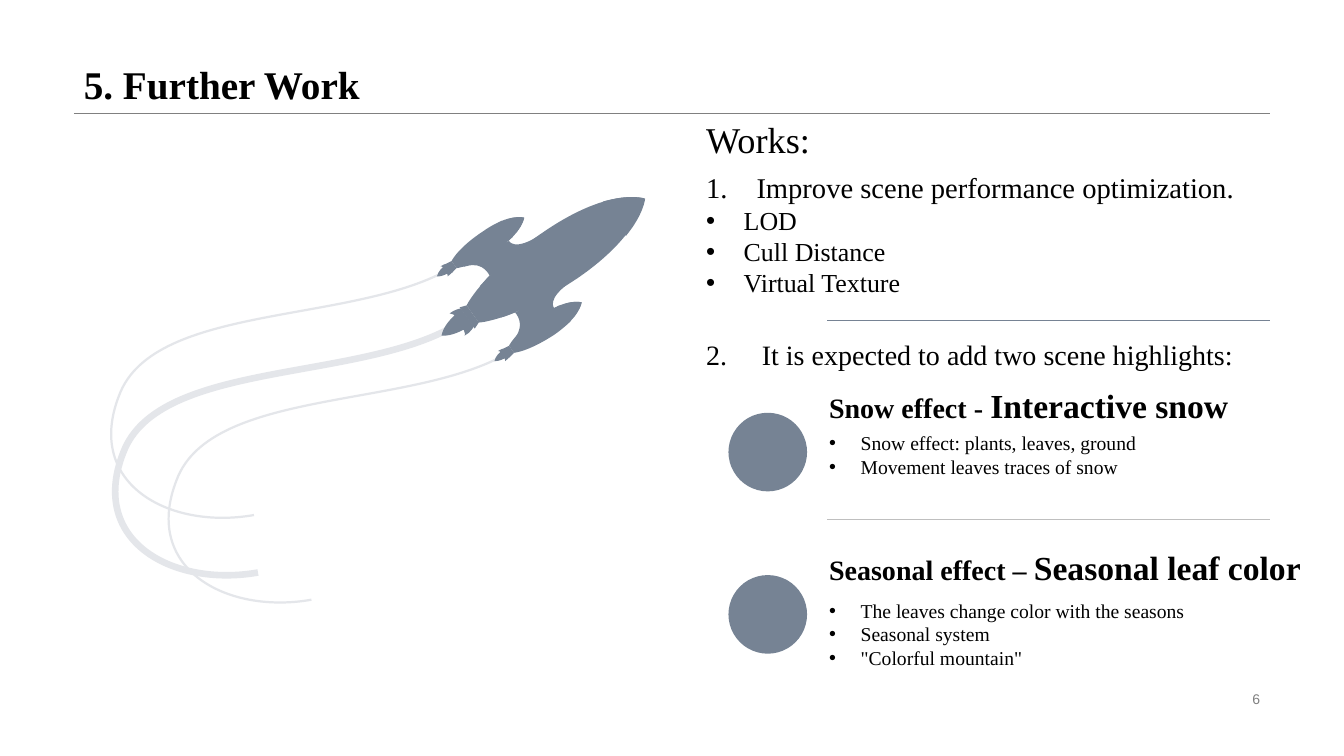
from dataclasses import dataclass

from lxml import etree
from pptx import Presentation
from pptx.dml.color import RGBColor
from pptx.enum.shapes import MSO_CONNECTOR, MSO_SHAPE
from pptx.enum.text import MSO_ANCHOR, PP_ALIGN
from pptx.oxml.ns import qn
from pptx.util import Inches, Pt

STRAIGHT = MSO_CONNECTOR.STRAIGHT
ELLIPSE = MSO_SHAPE.OVAL
TOP, MIDDLE, BOTTOM = MSO_ANCHOR.TOP, MSO_ANCHOR.MIDDLE, MSO_ANCHOR.BOTTOM
LEFT, RIGHT = PP_ALIGN.LEFT, PP_ALIGN.RIGHT

SLIDE_W, SLIDE_H = Inches(40) // 3, Inches(7.5)
ART_UNITS = 1000      # drawing units per inch


@dataclass(frozen=True)
class Theme:
    serif: str = "Times New Roman"
    sans: str = "Arial"
    ink: str = "000000"
    grey: str = "808080"
    slate: str = "768394"
    trail: str = "E4E6EA"
    divider: str = "BFBFBF"
    title: float = 28
    heading: float = 25.9
    first_item: float = 20.4
    item: float = 20
    sub_item: float = 18.5
    emphasis: float = 24
    detail: float = 14
    page: float = 10
    hairline: float = 0.25


THEME = Theme()

# Left edges and right edge, in percent of the slide width
MARGIN, RIGHT_EDGE = 5.5, 94.5
WORKS_LEFT, DETAIL_LEFT, RULE_LEFT, DOT_LEFT = 51.8, 60.95, 61.55, 54.2

# Highlights: title top, bullets top (percent of height), lead, name, details
HIGHLIGHTS = [
    (50.4, 56.4, "Snow effect - ", "Interactive snow",
     ["Snow effect: plants, leaves, ground", "Movement leaves traces of snow"]),
    (71.87, 78.53, "Seasonal effect – ", "Seasonal leaf color",
     ["The leaves change color with the seasons", "Seasonal system",
      '"Colorful mountain"']),
]

# Rocket outlines in inches: a start point, then lines (x, y)
# or curves (two controls and an end)
BODY = [(6.39, 1.97), (6.39, 1.97, 6.06, 1.85, 5.41, 2.29),
        (4.77, 2.72, 4.63, 3.03, 4.63, 3.03), (4.75, 3.2),
        (4.75, 3.2, 5.08, 3.19, 5.73, 2.76), (6.37, 2.32, 6.39, 1.97, 6.39, 1.97)]
BODY_BAND = [(4.97, 3.15), (5.01, 3.14, 5.06, 3.12, 5.11, 3.1), (4.86, 2.73),
             (4.82, 2.77, 4.79, 2.81, 4.76, 2.84)]
NOSE = [(6.21, 2.34), (6.39, 2.12, 6.4, 1.97, 6.4, 1.97),
        (6.4, 1.97, 6.26, 1.92, 5.98, 2)]
LOWER_FIN = [(5.5, 3.06), (5.5, 3.06, 5.41, 2.97, 5.67, 2.79), (5.11, 3.1),
             (5.11, 3.1, 5.22, 3.21, 5.11, 3.35), (5, 3.5, 5.5, 3.06, 5.5, 3.06)]
UPPER_FIN = [(5.05, 2.39), (5.05, 2.39, 5.1, 2.5, 5.36, 2.33), (4.86, 2.74),
             (4.86, 2.74, 4.8, 2.59, 4.63, 2.64), (4.45, 2.69, 5.05, 2.39, 5.05, 2.39)]
MAIN_NOZZLE = [(4.71, 3.26), (4.56, 3.05), (4.63, 3.03), (4.75, 3.2)]
POD = [(5.77, 3), (5.77, 3, 5.76, 3.14, 5.5, 3.32),
       (5.24, 3.49, 5.1, 3.5, 5.1, 3.5), (5.05, 3.43),
       (5.05, 3.43, 5.11, 3.3, 5.37, 3.13), (5.63, 2.95, 5.77, 3, 5.77, 3)]
POD_BAND = [(5.66, 3.19), (5.64, 3.2, 5.63, 3.22, 5.61, 3.23), (5.5, 3.06),
            (5.52, 3.05, 5.53, 3.04, 5.55, 3.03)]
POD_TIP = [(5.59, 3.02), (5.71, 2.98, 5.77, 3, 5.77, 3),
           (5.77, 3, 5.76, 3.06, 5.69, 3.15)]
POD_NOZZLE = [(4.99, 3.46), (5.05, 3.55), (5.1, 3.5), (5.05, 3.43)]
TRAIL = [(4.57, 2.6), (3.66, 3.23, 1.6, 2.98, 1.2, 3.88),
         (0.81, 4.79, 1.67, 5.26, 2.52, 5.11)]
# Porthole and flame are drawn around their own centre
PORTHOLE = [(0.08, 0.13), (0.01, 0.17, -0.07, 0.16, -0.12, 0.09),
            (-0.17, 0.02, -0.15, -0.07, -0.08, -0.12),
            (-0.01, -0.16, 0.08, -0.15, 0.13, -0.08),
            (0.17, -0.01, 0.15, 0.08, 0.08, 0.13)]
FLAME = [(-0.06, -0.09), (0.07, 0.09), (0.07, 0.09, 0.04, 0.15, -0.02, 0.18),
         (-0.02, 0.18, -0.01, 0.14, -0.03, 0.12),
         (-0.03, 0.12, -0.15, 0.19, -0.25, 0.18),
         (-0.23, 0.07, -0.12, -0.02, -0.12, -0.02),
         (-0.12, -0.03, -0.17, -0.04, -0.17, -0.04),
         (-0.12, -0.08, -0.06, -0.09, -0.06, -0.09)]
POD_SHIFTS = [(0, 0), (-0.57, -0.84)]
TRAILS = [((0, 0), 1.59), ((0.57, 0.84), 1.59), ((0.04, 0.57), 4.71)]
FLAME_LAYERS = [1, 0.73, 0.46]
POD_FLAME = 0.46
INNER_PORTHOLE = 0.75


def across(percent):
    return round(SLIDE_W * percent / 100)


def down(percent):
    return round(SLIDE_H * percent / 100)


def color(value):
    return RGBColor.from_string(value)


def add_rule(slide, left, top, tint):
    rule = slide.shapes.add_connector(
        STRAIGHT, across(left), down(top), across(RIGHT_EDGE), down(top))
    rule.line.color.rgb = color(tint)
    rule.line.width = Pt(THEME.hairline)
    etree.SubElement(rule._element.spPr, qn("a:effectLst"))


def add_frame(slide, left, top, width, height, anchor=TOP):
    box = slide.shapes.add_textbox(
        across(left), down(top), across(width), down(height))
    box.text_frame.word_wrap = True
    box.text_frame.vertical_anchor = anchor
    return box.text_frame


def add_run(paragraph, words, size, bold=False, tint=THEME.ink, font=THEME.serif):
    run = paragraph.add_run()
    run.text = words
    run.font.name, run.font.size, run.font.bold = font, Pt(size), bold
    run.font.color.rgb = color(tint)


def add_line(frame, runs, spacing=None):
    """Fill the first paragraph with (words, size, bold) runs."""
    paragraph = frame.paragraphs[0]
    paragraph.alignment = LEFT
    paragraph.line_spacing = spacing
    for words, size, bold in runs:
        add_run(paragraph, words, size, bold)


def add_items(frame, items):
    """Add (words, size, indent, number) items; no number gives a bullet."""
    for index, (words, size, indent, number) in enumerate(items):
        paragraph = frame.add_paragraph() if index else frame.paragraphs[0]
        props = paragraph._p.get_or_add_pPr()
        props.set("marL", str(across(indent)))
        props.set("indent", str(-across(indent)))
        if number:
            etree.SubElement(props, qn("a:buAutoNum"),
                             type="arabicPeriod", startAt=str(number))
        else:
            etree.SubElement(props, qn("a:buFont"), typeface=THEME.sans)
            etree.SubElement(props, qn("a:buChar"), char="•")
        add_run(paragraph, words, size)


def add_outline(slide, outline, shift=(0, 0), scale=1, trail_width=None):
    start, *points = [((x * scale + shift[0]) * ART_UNITS, (y * scale + shift[1]) * ART_UNITS)
                      for step in outline for x, y in zip(step[::2], step[1::2])]
    builder = slide.shapes.build_freeform(*start, scale=Inches(1) / ART_UNITS)
    builder.add_line_segments(points, close=trail_width is None)
    part = builder.convert_to_shape()
    # Join each run of two controls and an end into one curve
    corners = iter(list(part._element.iter(qn("a:lnTo"))))
    for step in outline[1:]:
        corner = next(corners)
        if len(step) == 6:
            corner.tag = qn("a:cubicBezTo")
            for follower in (next(corners), next(corners)):
                corner.append(follower[0])
                follower.getparent().remove(follower)
    part.shadow.inherit = False
    if trail_width:
        part.fill.background()
        part.line.color.rgb = color(THEME.trail)
        part.line.width = Pt(trail_width)
    else:
        paint_slate(part)


def paint_slate(part):
    part.fill.solid()
    part.fill.fore_color.rgb = color(THEME.slate)
    part.line.fill.background()


def add_flame(slide, center, size=1):
    for layer in FLAME_LAYERS:
        add_outline(slide, FLAME, center, size * layer)


def add_rocket(slide):
    for shift, width in TRAILS:
        add_outline(slide, TRAIL, shift, trail_width=width)
    for part in (LOWER_FIN, UPPER_FIN, BODY, BODY_BAND, NOSE, MAIN_NOZZLE):
        add_outline(slide, part)
    for size in (1, INNER_PORTHOLE):
        add_outline(slide, PORTHOLE, (5.82, 2.35), size)
    add_flame(slide, (4.63, 3.15))
    for dx, dy in POD_SHIFTS:
        for part in (POD, POD_BAND, POD_TIP, POD_NOZZLE):
            add_outline(slide, part, (dx, dy))
        add_flame(slide, (5.02 + dx, 3.5 + dy), POD_FLAME)


def add_highlight(slide, top, details_top, lead, name, details):
    dot = slide.shapes.add_shape(
        ELLIPSE, across(DOT_LEFT), down(top + 4.2), across(5.85), down(10.4))
    dot.shadow.inherit = False
    paint_slate(dot)
    add_line(add_frame(slide, DETAIL_LEFT, top, 37.5, 6.4, MIDDLE),
             [(lead, THEME.item, True), (name, THEME.emphasis, True)])
    add_items(add_frame(slide, DETAIL_LEFT, details_top, RIGHT_EDGE - DETAIL_LEFT, 12.67),
              [(words, THEME.detail, 2.35, None) for words in details])


def main():
    deck = Presentation()
    deck.slide_width, deck.slide_height = SLIDE_W, SLIDE_H
    slide = deck.slides.add_slide(deck.slide_layouts[6])

    # Title and page number
    add_rule(slide, MARGIN, 14.93, THEME.grey)
    add_line(add_frame(slide, MARGIN, 0, 89, 14.93, BOTTOM),
             [("5. Further Work", THEME.title, True)], spacing=0.9)
    page = add_frame(slide, 70.65, 90.93, 23.85, 3.07, MIDDLE).paragraphs[0]
    page.alignment = RIGHT
    add_run(page, "6", THEME.page, tint=THEME.grey, font=THEME.sans)

    add_rocket(slide)

    # Planned works
    width = RIGHT_EDGE - WORKS_LEFT
    add_line(add_frame(slide, WORKS_LEFT, 16, width, 6.4),
             [("Works:", THEME.heading, False)], spacing=0.8)
    add_items(add_frame(slide, WORKS_LEFT, 21.87, width, 22), [
        ("Improve scene performance optimization.", THEME.first_item, 3.75, 1),
        *((words, THEME.sub_item, 2.8, None)
          for words in ("LOD", "Cull Distance", "Virtual Texture"))])
    add_rule(slide, RULE_LEFT, 42.4, THEME.slate)
    add_items(add_frame(slide, WORKS_LEFT, 44, width, 9.87), [
        ("It is expected to add two scene highlights:", THEME.item, 4.15, 2)])

    # Scene highlights
    for highlight in HIGHLIGHTS:
        add_highlight(slide, *highlight)
    add_rule(slide, RULE_LEFT, 68.67, THEME.divider)

    deck.save("out.pptx")


if __name__ == "__main__":
    main()
